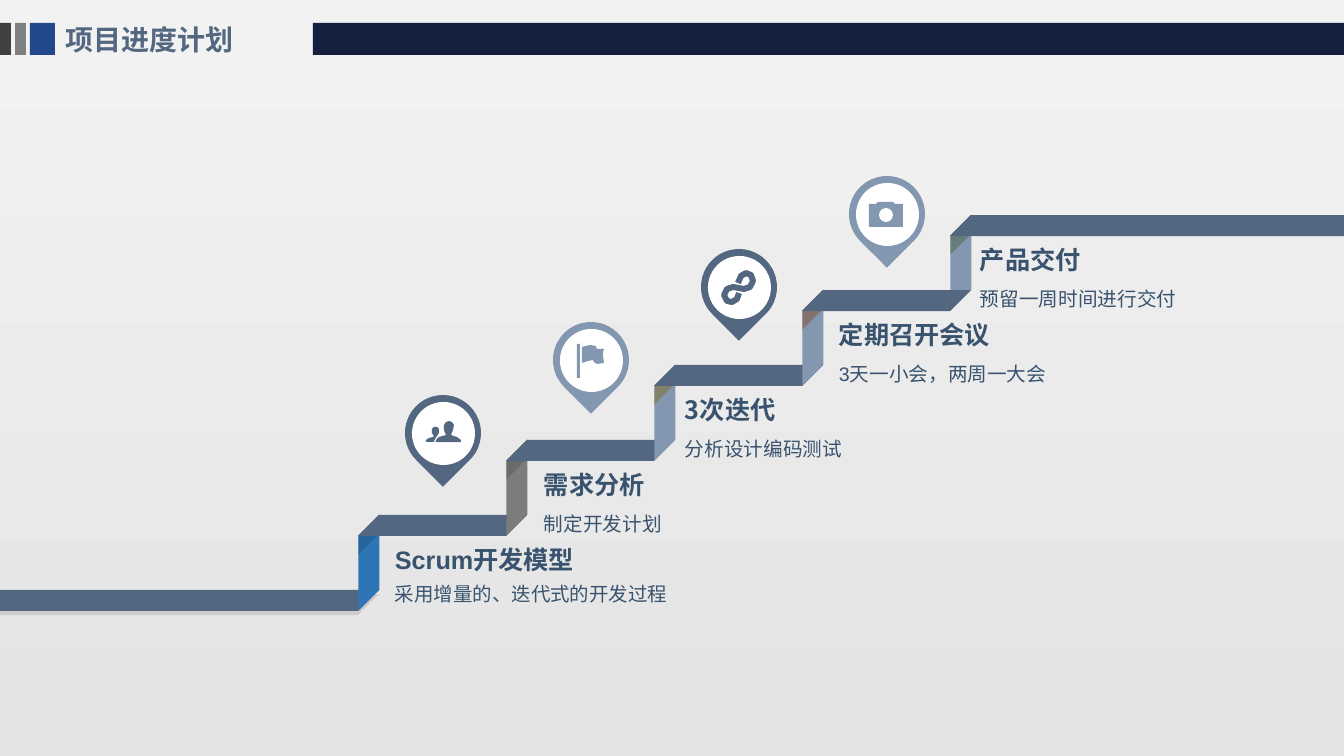
import pptx
import pptx.dml.color
import pptx.enum.shapes
import pptx.enum.text
import pptx.oxml.ns
import pptx.util
from lxml import etree

SHAPE = pptx.enum.shapes.MSO_SHAPE
TEXT = pptx.enum.text
CJK = "Noto Sans CJK SC"
HUES = {
    "top": "F2F2F2", "base": "E4E4E4", "dark": "404040", "grey": "808080",
    "royal": "21478D", "navy": "151F40", "slate": "536781", "mist": "8497B0",
    "ink": "39536E", "white": "FFFFFF", "black": "000000",
    "blue": "2E75B6", "stone": "7C7C7C",
    "deep": "1F4E79", "coal": "525252", "gold": "806000",
    "rust": "843C0B", "moss": "385723",
}


def rgb(hue):
    return pptx.dml.color.RGBColor.from_string(HUES[hue])


def add(parent, tag, **attrs):
    node = etree.SubElement(parent, pptx.oxml.ns.qn(tag))
    for key, val in attrs.items():
        node.set(key, str(val))
    return node


class Deck:
    """Holds the style and the current slide; lengths are px."""
    scale = 12192000 / 1344

    def __init__(self):
        self.file = pptx.Presentation()
        self.file.slide_width = self.px(1344)
        self.file.slide_height = self.px(756)
        self.slide = self.file.slides.add_slide(self.file.slide_layouts[5])
        self.shapes = self.slide.shapes

    def px(self, num):
        return pptx.util.Emu(round(num * self.scale))

    def back(self, first, last):
        fill = self.slide.background.fill
        fill.gradient()
        fill.gradient_angle = 270
        for stop, hue in zip(fill.gradient_stops, (first, last)):
            stop.color.rgb = rgb(hue)

    def paint(self, item, hue, alpha=None):
        item.shadow.inherit = False
        item.fill.solid()
        item.fill.fore_color.rgb = rgb(hue)
        item.line.fill.background()
        if alpha:
            tint = item.fill._xPr.find(".//" + pptx.oxml.ns.qn("a:srgbClr"))
            add(tint, "a:alpha", val=alpha * 1000)
        return item

    def shape(self, kind, x, y, w, h, hue, alpha=None):
        item = self.shapes.add_shape(kind, *map(self.px, (x, y, w, h)))
        return self.paint(item, hue, alpha)

    def slant(self, x, y, w, hue, alpha=None):
        item = self.shape(SHAPE.PARALLELOGRAM, x, y, w, 21, hue, alpha)
        item.adjustments[0] = 1
        return item

    def riser(self, x, y, size, hue, alpha=None):
        """Upright slant whose visible top left corner is x, y."""
        shift = (size - 21) // 2
        item = self.slant(x - shift, y + shift, size, hue, alpha)
        item.rotation = 90
        item._element.spPr.get_or_add_xfrm().set("flipH", "1")

    def drop(self, item, alpha, dist):
        """Hard shadow straight below the item."""
        effects = item._element.spPr.find(pptx.oxml.ns.qn("a:effectLst"))
        cast = add(effects, "a:outerShdw", dist=pptx.util.Pt(dist),
                   dir=90 * 60000, rotWithShape=0)
        tint = add(cast, "a:srgbClr", val=HUES["black"])
        add(tint, "a:alpha", val=alpha * 1000)

    def form(self, points, hue, stroke=0):
        """Filled outline, or an open stroke if a width is given."""
        pen = self.shapes.build_freeform(*points[0], scale=self.scale)
        pen.add_line_segments(points[1:], close=not stroke)
        item = self.paint(pen.convert_to_shape(), hue)
        if stroke:
            item.fill.background()
            item.line.color.rgb = rgb(hue)
            item.line.width = self.px(stroke)

    def run(self, para, text, size, hue, bold, font):
        run = para.add_run()
        run.text = text
        run.font.size = pptx.util.Pt(size)
        run.font.bold = bold
        run.font.name = font
        run.font.color.rgb = rgb(hue)
        add(run.font._element, "a:ea", typeface=CJK)

    def title(self, text, x, y, w, h):
        item = self.shapes.title
        item.left, item.top, item.width, item.height = map(self.px, (x, y, w, h))
        frame = item.text_frame
        frame.vertical_anchor = TEXT.MSO_ANCHOR.MIDDLE
        frame.word_wrap = True
        para = frame.paragraphs[0]
        para.alignment = TEXT.PP_ALIGN.LEFT
        self.run(para, text, 20, "slate", True, "Arial")

    def label(self, text, x, y, size, bold, font, space=1.0):
        item = self.shapes.add_textbox(*map(self.px, (x, y, 285, 38)))
        frame = item.text_frame
        frame.margin_left = frame.margin_right = 0
        frame.margin_top = frame.margin_bottom = 0
        frame.word_wrap = not bold
        para = frame.paragraphs[0]
        para.line_spacing = space
        self.run(para, text, size, "ink", bold, font)


# Stairs: riser hue, shade hue
STEPS = [("blue", "deep"), ("stone", "coal"), ("mist", "gold"),
         ("mist", "rust"), ("mist", "moss")]
# Labels: left, head, detail, detail size, line spacing, font
NOTES = [
    (395, "Scrum开发模型", "采用增量的、迭代式的开发过程", 13.9, 1.0, "Arial"),
    (544, "需求分析", "制定开发计划", 14, 1.2, "Arial"),
    (685, "3次迭代", "分析设计编码测试", 14, 1.2, CJK),
    (839, "定期召开会议", "3天一小会，两周一大会", 14, 1.2, "Arial"),
    (980, "产品交付", "预留一周时间进行交付", 14, 1.2, "Arial"),
]
# Icon outlines
SMALL = [(426, 442), (426, 440), (429, 438), (433, 437), (434, 436), (432, 433),
         (432, 429), (434, 427), (437, 427), (439, 429), (439, 433), (437, 436),
         (435, 439), (434, 442)]
LARGE = [(436, 442), (436, 440), (439, 437), (446, 435), (444, 430), (444, 425),
         (446, 422), (449, 421), (452, 422), (454, 425), (453, 430), (451, 435),
         (457, 437), (461, 440), (461, 442)]
FLAG = [(582, 347), (590, 345), (596, 346), (597, 349), (604, 349), (603, 354),
        (604, 363), (597, 364), (594, 362), (593, 360), (588, 361), (582, 363)]
LINK = [(739, 293), (737, 299), (732, 302), (727, 301), (724, 295), (727, 289),
        (733, 287), (744, 289), (750, 287), (753, 281), (751, 275), (746, 273),
        (741, 276), (738, 283)]
BODY = [(869, 204), (876, 204), (878, 202), (893, 202), (895, 204), (903, 204),
        (903, 227), (869, 227)]


def main():
    deck = Deck()
    deck.back("top", "base")

    # Header
    for x, w, hue in [(0, 11, "dark"), (15, 11, "grey"), (30, 25, "royal"),
                      (313, 1031, "navy")]:
        deck.shape(SHAPE.RECTANGLE, x, 23, w, 32, hue)
    deck.title("项目进度计划", 55, 17, 258, 44)

    # Stairs; the fourth step lies over the fifth
    deck.drop(deck.slant(-22, 590, 401, "slate"), 10, 3)
    for i in (0, 1, 2, 4, 3):
        x, y = 358 + 148 * i, 515 - 75 * i
        hue, shade = STEPS[i]
        deck.riser(x, y, 96, hue)
        deck.riser(x, y, 40, shade, 40)
        deck.slant(x, y, 416 if i == 4 else 169, "slate")

    # Pins
    for i in range(4):
        x, y = 405 + 148 * i, 395 - 73 * i
        pin = deck.shape(SHAPE.TEAR, x, y, 76, 76, ("slate", "mist")[i % 2])
        pin.rotation = 135
        deck.shape(SHAPE.OVAL, x + 7, y + 7, 63, 63, "white")

    # Icons: people, flag, link, camera
    deck.form(SMALL, "slate")
    deck.form(LARGE, "slate")
    deck.shape(SHAPE.RECTANGLE, 577, 344, 3, 34, "mist")
    deck.form(FLAG, "mist")
    deck.form(LINK, "slate", 6)
    deck.form(BODY, "mist")
    deck.shape(SHAPE.OVAL, 879, 208, 14, 14, "white")

    # Labels
    for i, (x, head, detail, size, space, font) in enumerate(NOTES):
        y = 544 - 75 * i
        deck.label(head, x, y, 18, True, font)
        deck.label(detail, x, y + 38, size, False, font, space)

    deck.file.save("out.pptx")


if __name__ == "__main__":
    main()
